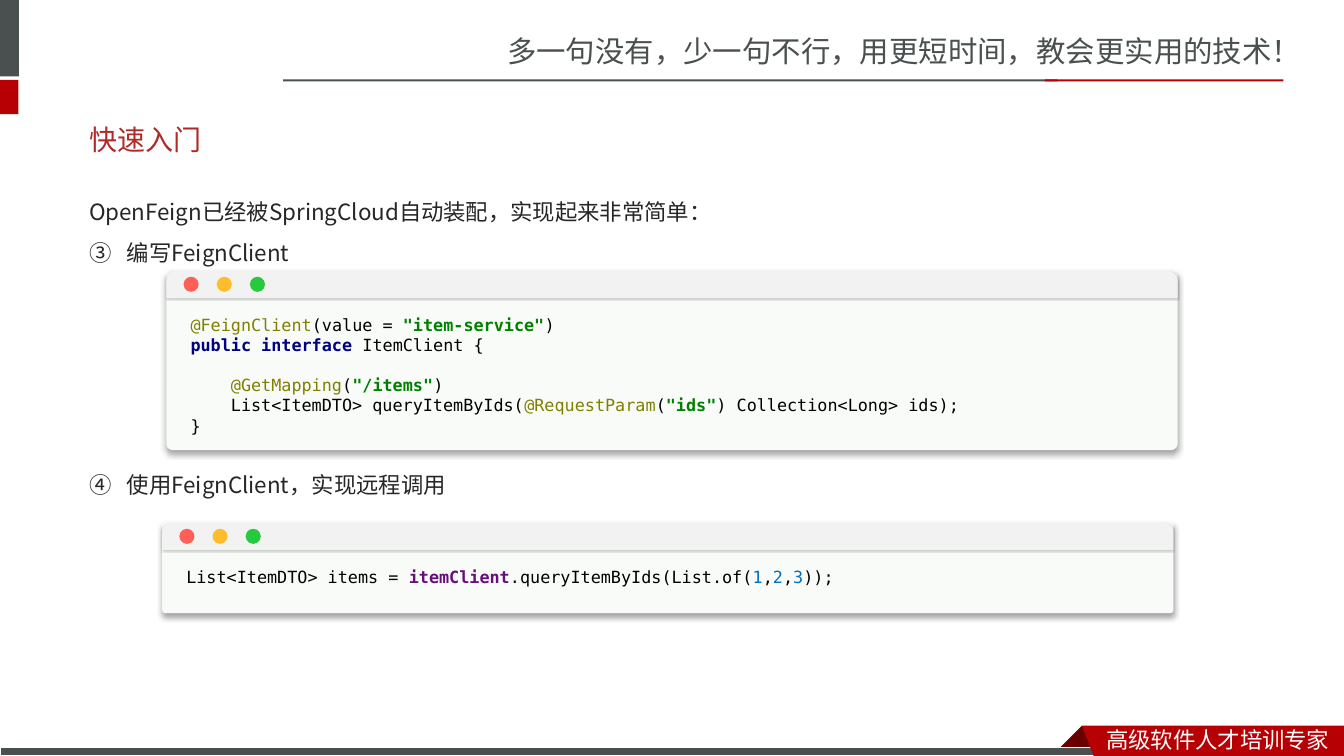
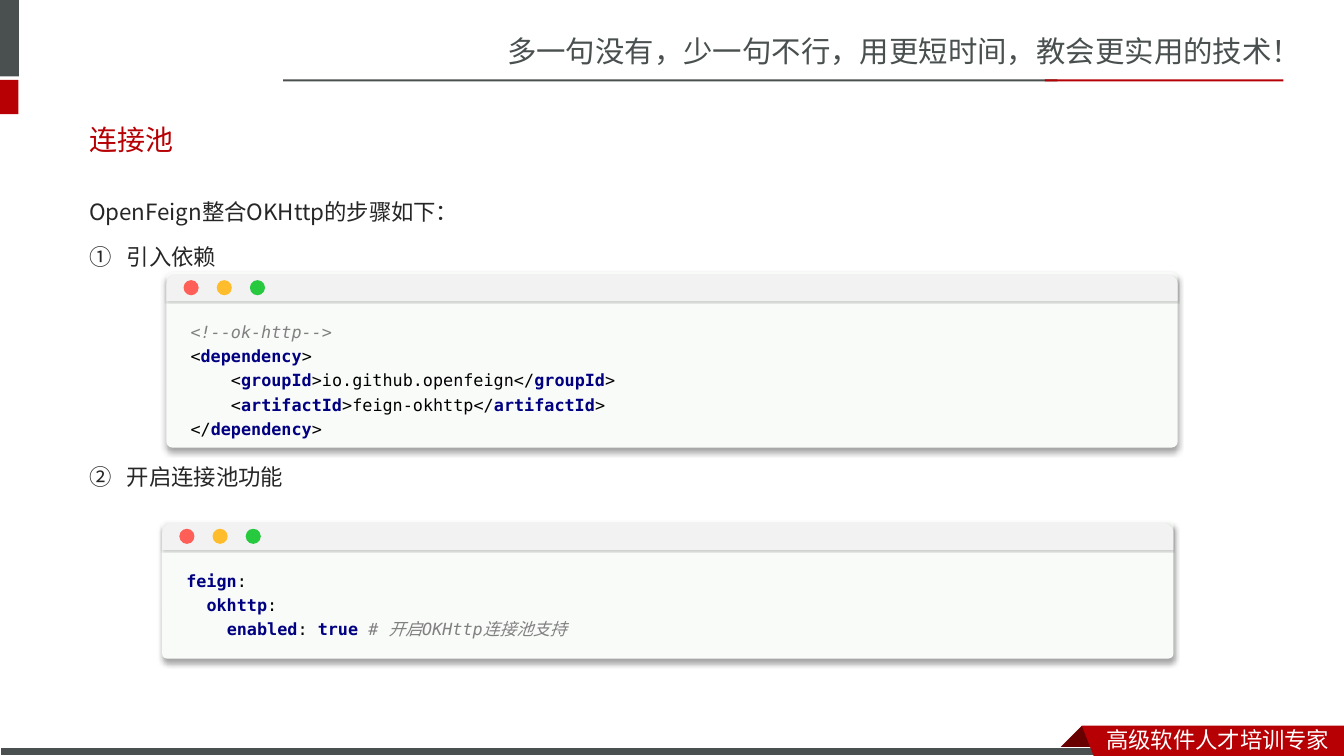
from lxml.etree import SubElement
from pptx import Presentation
from pptx.dml.color import RGBColor
from pptx.enum.shapes import MSO_SHAPE
from pptx.enum.text import MSO_ANCHOR, MSO_AUTO_SIZE, PP_ALIGN
from pptx.oxml.ns import qn
from pptx.util import Emu, Pt

# Grid: 160 columns by 90 rows of square cells
COLS, ROWS, CELL = 160, 90, 76200
GREY, RED, DARK, WHITE, INK = "49504F", "B60004", "680000", "FFFFFF", "262626"
SANS, JP, MONO = "Noto Sans CJK SC", "Noto Sans CJK JP", "DejaVu Sans Mono"

# Code styles: colour, bold, italic, font
KINDS = {
    "code": ("000000", False, False, MONO),
    "mark": ("808000", False, False, MONO),
    "text": ("008000", True, False, MONO),
    "key": ("000080", True, False, MONO),
    "field": ("660E7A", True, False, MONO),
    "num": ("0070C0", False, False, MONO),
    "note": ("808080", False, True, MONO),
    "han": ("808080", False, True, "Courier New"),
}

CLIENT = [
    ("@FeignClient", "mark"), ("(value = ", "code"), ('"item-service"', "text"),
    (")\n", "code"), ("public interface ", "key"),
    ("ItemClient {\n\n    ", "code"), ("@GetMapping", "mark"), ("(", "code"),
    ('"/items"', "text"), (")\n    List<ItemDTO> queryItemByIds(", "code"),
    ("@RequestParam", "mark"), ("(", "code"), ('"ids"', "text"),
    (") Collection<Long> ids);\n}", "code"),
]
CALL = [
    ("List<ItemDTO> items = ", "code"), ("itemClient", "field"),
    (".queryItemByIds(List.of(", "code"), ("1", "num"), (",", "code"),
    ("2", "num"), (",", "code"), ("3", "num"), ("));", "code"),
]
DEPEND = [
    ("<!--ok-http-->\n", "note"), ("<", "code"), ("dependency", "key"),
    (">\n    <", "code"), ("groupId", "key"),
    (">io.github.openfeign</", "code"), ("groupId", "key"),
    (">\n    <", "code"), ("artifactId", "key"),
    (">feign-okhttp</", "code"), ("artifactId", "key"),
    (">\n</", "code"), ("dependency", "key"), (">", "code"),
]
CONFIG = [
    ("feign", "key"), (":\n  ", "code"), ("okhttp", "key"),
    (":\n    ", "code"), ("enabled", "key"), (": ", "code"),
    ("true ", "key"), ("# ", "note"), ("开启", "han"), ("OKHttp", "note"),
    ("连接池支持", "han"),
]


def rgb(code):
    return RGBColor.from_string(code)


def grid(*cells):
    return [Emu(round(cell * CELL)) for cell in cells]


def style(font, size, color, name, bold=False, italic=False):
    font.size, font.name, font.bold, font.italic = Pt(size), name, bold, italic
    font.color.rgb = rgb(color)
    SubElement(font._rPr, qn("a:ea"), typeface=name)


def write(para, text, *look):
    """One run in one look, held by the paragraph and its run."""
    run = para.add_run()
    run.text = text
    for font in (para.font, run.font):
        style(font, *look)


def paint(shape, color, line=None, shade=None):
    shape.shadow.inherit = False
    shape.fill.solid()
    shape.fill.fore_color.rgb = rgb(color)
    if line:
        shape.line.color.rgb = rgb(line)
        shape.line.width = Pt(0.75)
    else:
        shape.line.fill.background()
    if shade:
        alpha, blur, dist = shade
        effects = shape.element.spPr.find(qn("a:effectLst"))
        outer = SubElement(effects, qn("a:outerShdw"), blurRad=str(Pt(blur)),
                           dist=str(Pt(dist)), dir="5400000", algn="t", rotWithShape="0")
        black = SubElement(outer, qn("a:srgbClr"), val="000000")
        SubElement(black, qn("a:alpha"), val=str(alpha * 1000))


def block(shapes, cells, color, kind=MSO_SHAPE.RECTANGLE, **extra):
    shape = shapes.add_shape(kind, *grid(*cells))
    paint(shape, color, **extra)
    return shape


def patch(shapes, points, color):
    first, *rest = [grid(*point) for point in points]
    form = shapes.build_freeform(*first)
    form.add_line_segments(rest)
    paint(form.convert_to_shape(), color)


def label(shapes, cells, text, *look):
    frame = shapes.add_textbox(*grid(*cells)).text_frame
    frame.word_wrap = True
    write(frame.paragraphs[0], text, *look)


def frame_up(slide, layout):
    """Draw the shared frame and move it into the layout."""
    shapes = slide.shapes
    # Header: slogan, corner bars and rule
    label(shapes, (59.2, 3.4, 100.8, 5.6),
          "多一句没有，少一句不行，用更短时间，教会更实用的技术！", 21, GREY, SANS)
    block(shapes, (0, 0, 2.25, 9.1), GREY)
    block(shapes, (0, 9.5, 2.2, 4.1), RED)
    block(shapes, (33.7, 9.45, 92.2, 0.25), GREY)
    block(shapes, (124.4, 9.45, 28.4, 0.25), RED)
    # Footer: fold, strip and ribbon
    patch(shapes, [(128.8, 86.4), (131.4, 89.1), (126.1, 89.1)], DARK)
    block(shapes, (0, 88.95, 131.9, 1.05), GREY, line=WHITE)
    patch(shapes, [(128.8, 86.4), (COLS, 86.4), (COLS, ROWS), (130.2, ROWS)], RED)
    label(shapes, (130.5, 85.8, 29.4, 4.4), "高级软件人才培训专家", 16, WHITE, SANS)
    parts = [shape for shape in shapes if not shape.is_placeholder]
    for number, shape in enumerate(parts, 20):
        shape.element.nvSpPr.cNvPr.set("id", str(number))
        layout.shapes.element.append(shape.element)


def place(layout):
    """Set where titles and lists sit on every slide."""
    spots = [(9.4, 13.2, 140.4, 6.8), (9.4, 21.4, 140.4, 52)]
    for holder, spot in zip(layout.placeholders, spots):
        holder.left, holder.top, holder.width, holder.height = grid(*spot)


def head(slide, text, color):
    frame = slide.shapes.title.text_frame
    frame.auto_size = MSO_AUTO_SIZE.NONE
    frame.vertical_anchor = MSO_ANCHOR.MIDDLE
    para = frame.paragraphs[0]
    para.alignment = PP_ALIGN.LEFT
    write(para, text, 20, color, "Lato")


def steps(slide, intro, items, start):
    """Intro line, then numbered items given as (text, points before)."""
    frame = slide.placeholders[1].text_frame
    frame.auto_size = MSO_AUTO_SIZE.NONE
    frame.vertical_anchor = MSO_ANCHOR.TOP
    for row, (text, gap) in enumerate([(intro, 0), *items]):
        para = frame.add_paragraph() if row else frame.paragraphs[0]
        para.line_spacing, para.space_before = Pt(29), Pt(gap)
        props = para._p.get_or_add_pPr()
        hang = Pt(27) if row else 0
        props.set("marL", str(hang))
        props.set("indent", str(-hang))
        if row:
            SubElement(props, qn("a:buFont"), typeface="+mj-lt")
            SubElement(props, qn("a:buAutoNum"), type="circleNumDbPlain",
                       startAt=str(start))
        else:
            SubElement(props, qn("a:buNone"))
        write(para, text, 16, INK, JP)


def code(para, tokens, spacing):
    para.line_spacing = spacing
    para.font.size, para.font.name = Pt(12), MONO
    for text, kind in tokens:
        color, bold, italic, name = KINDS[kind]
        for row, line in enumerate(text.split("\n")):
            if row:
                para.add_line_break()
                SubElement(para._p[-1], qn("a:rPr"), sz="1200")
            if line:
                run = para.add_run()
                run.text = line
                style(run.font, 12, color, name, bold, italic)


def pane(slide, left, top, high, tokens, spacing=1.0):
    """A code window with a title bar and three buttons."""
    wide = 120.4
    shapes = slide.shapes.add_group_shape().shapes
    back = block(shapes, (left, top, wide, high), "F9FBF9",
                 MSO_SHAPE.ROUNDED_RECTANGLE, shade=(34, 4, 3))
    back.adjustments[0] = 0.036
    box = shapes.add_textbox(*grid(left, top + 4.85, 113.6, high - 5.5))
    frame = box.text_frame
    frame.word_wrap = True
    frame.margin_left = frame.margin_right = grid(2.88)[0]
    code(frame.paragraphs[0], tokens, spacing)
    bar = block(shapes, (left, top + 0.25, wide, 3.2), "F2F2F2",
                MSO_SHAPE.ROUND_2_SAME_RECTANGLE, shade=(20, 1, 1))
    bar.adjustments[0] = 0.37
    for col, color in enumerate(("FF5F56", "FFBD2E", "27C93F")):
        block(shapes, (left + 2.05 + 3.95 * col, top + 0.95, 1.8, 1.8),
              color, MSO_SHAPE.OVAL)


def main():
    deck = Presentation()
    deck.slide_width, deck.slide_height = grid(COLS, ROWS)
    layout = deck.slide_layouts[1]
    place(layout)

    # Quick start
    start = deck.slides.add_slide(layout)
    frame_up(start, layout)
    head(start, "快速入门", "AD2A26")
    steps(start, "OpenFeign已经被SpringCloud自动装配，实现起来非常简单：",
          [("编写FeignClient", 0), ("使用FeignClient，实现远程调用", 137)], 3)
    pane(start, 19.8, 32, 21.6, CLIENT)
    pane(start, 19.3, 62, 11, CALL)

    # Connection pool
    pool = deck.slides.add_slide(layout)
    head(pool, "连接池", RED)
    steps(pool, "OpenFeign整合OKHttp的步骤如下：",
          [("引入依赖", 3), ("开启连接池功能", 128)], 1)
    pane(pool, 19.8, 32.4, 20.9, DEPEND, 1.2)
    pane(pool, 19.3, 62, 16.4, CONFIG, 1.2)

    deck.save("out.pptx")


if __name__ == "__main__":
    main()
